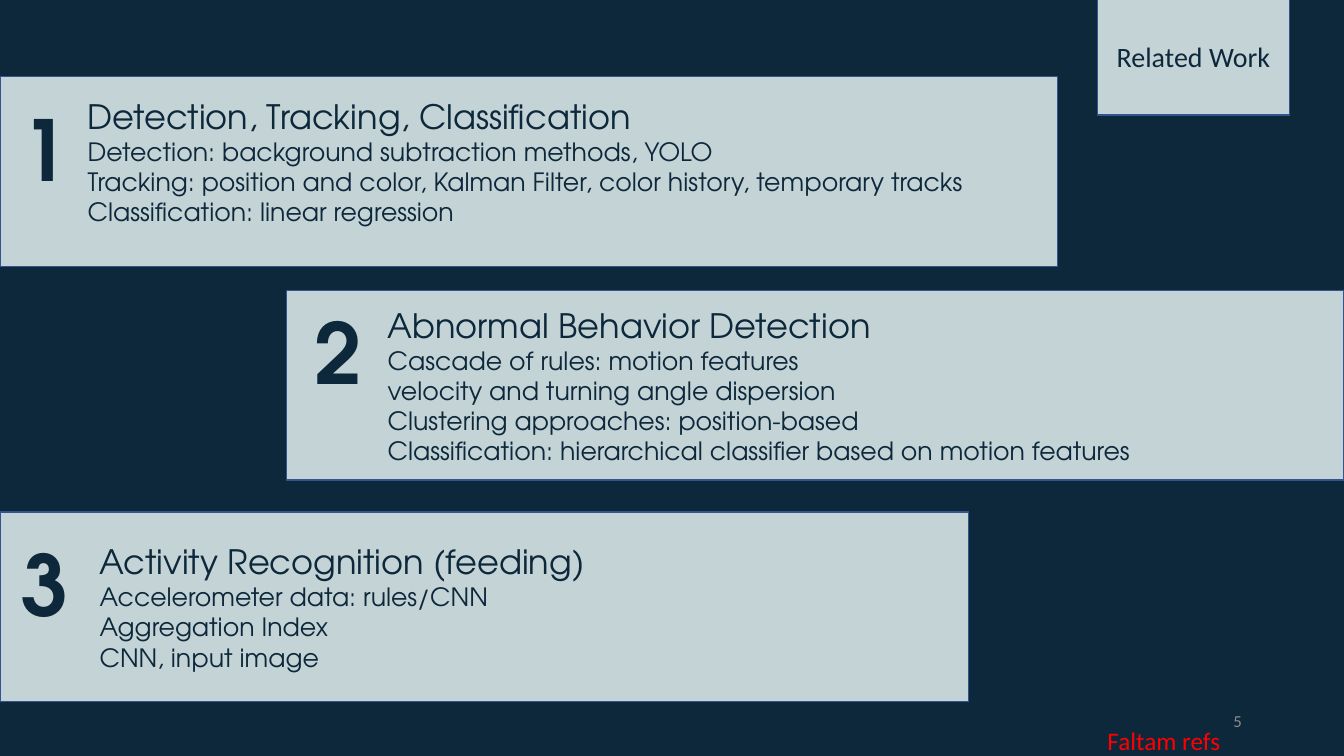
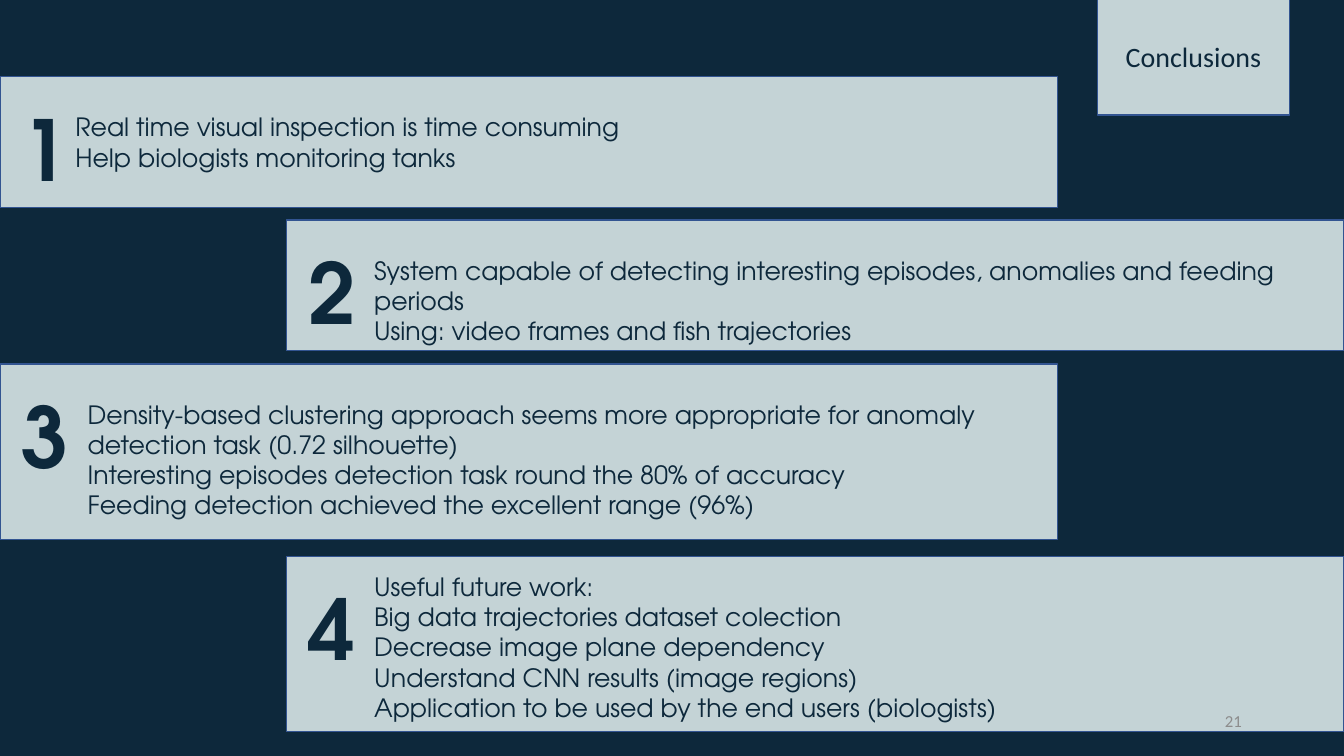
from pptx import Presentation
from pptx.dml.color import RGBColor
from pptx.enum.shapes import MSO_SHAPE as Shape
from pptx.enum.text import MSO_ANCHOR as Anchor, MSO_AUTO_SIZE as AutoSize, PP_ALIGN as Align
from pptx.util import Cm, Pt

NAVY, MIST, EDGE, GREY, RED = "0D283B", "C4D3D6", "325491", "8C8C8C", "FF0000"
DISPLAY, PLAIN = "TeX Gyre Adventor", "Calibri"

# Lengths in centimetres
SLIDE_WIDTH, SLIDE_HEIGHT = 33.87, 19.05
BAND_WIDTH, TEXT_WIDTH = 26.65, 24.3
NUMBER_OFFSET = (0.3, 1.15)
TITLE_AREA = (27.66, -0.05, 4.83, 2.95)
PAGE_NUMBER_AREA = (23.93, 17.65, 7.62, 1.02)
NOTE_AREA = (27.66, 18.16, 3.45, 1.02)

TITLE = {"size": Pt(20), "name": PLAIN, "color": NAVY}
NUMBER = {"size": Pt(60), "name": DISPLAY, "color": NAVY, "bold": True}
HEADING = {"size": Pt(24), "name": DISPLAY, "color": NAVY}
BODY = {"size": Pt(18), "name": DISPLAY, "color": NAVY}
PAGE_NUMBER = {"size": Pt(12), "name": PLAIN, "color": GREY}
NOTE = {"size": Pt(18), "name": PLAIN, "color": RED}

# Bands alternate left and right; offsets are measured from the band's corner
SLIDES = [
    {"title": "Related Work", "number": "5", "note": "Faltam refs", "bands": [
        {"top": 1.93, "height": 4.78, "text_offset": (1.96, 0.36),
         "heading": "Detection, Tracking, Classification",
         "lines": ["Detection: background subtraction methods, YOLO",
                   "Tracking: position and color, Kalman Filter, color history, temporary tracks",
                   "Classification: linear regression"]},
        {"top": 7.32, "height": 4.78, "text_offset": (2.3, 0.23), "number_offset": (0.46, 0.89),
         "heading": "Abnormal Behavior Detection",
         "lines": ["Cascade of rules: motion features",
                   "velocity and turning angle dispersion",
                   "Clustering approaches: position-based",
                   "Classification: hierarchical classifier based on motion features"]},
        {"top": 12.9, "height": 4.78, "width": 24.41, "text_offset": (2.26, 0.61),
         "heading": "Activity Recognition (feeding)",
         "lines": ["Accelerometer data: rules/CNN",
                   "Aggregation Index",
                   "CNN, input image"]},
    ]},
    {"title": "Conclusions", "number": "21", "bands": [
        {"top": 1.93, "height": 3.3, "text_offset": (1.65, 0.76),
         "lines": ["Real time visual inspection is time consuming",
                   "Help biologists monitoring tanks"]},
        {"top": 5.54, "height": 3.3, "text_offset": (1.96, 0.76),
         "lines": ["System capable of detecting interesting episodes, anomalies and feeding periods",
                   "Using: video frames and fish trajectories"]},
        {"top": 9.17, "height": 4.42, "text_offset": (1.96, 0.76),
         "lines": ["Density-based clustering approach seems more appropriate for anomaly "
                   "detection task (0.72 silhouette)",
                   "Interesting episodes detection task round the 80% of accuracy",
                   "Feeding detection achieved the excellent range (96%)"]},
        {"top": 14.02, "height": 4.42, "text_offset": (1.96, 0.25),
         "lines": ["Useful future work:",
                   "Big data trajectories dataset colection",
                   "Decrease image plane dependency",
                   "Understand CNN results (image regions)",
                   "Application to be used by the end users (biologists)"]},
    ]},
]


def rgb(hex_code):
    return RGBColor.from_string(hex_code)


def to_cm(area):
    return [Cm(round(value, 2)) for value in area]


def paint(shape):
    """Give a panel the shared fill and outline."""
    shape.fill.solid()
    shape.fill.fore_color.rgb = rgb(MIST)
    shape.line.color.rgb = rgb(EDGE)
    shape.line.width = Pt(1)


def write(frame, rows, align=Align.LEFT, anchor=Anchor.TOP, resize=AutoSize.NONE):
    """Fill a frame with (text, format) rows, one paragraph each."""
    frame.word_wrap = True
    frame.auto_size = resize
    frame.vertical_anchor = anchor
    for index, (text, style) in enumerate(rows):
        para = frame.add_paragraph() if index else frame.paragraphs[0]
        para.alignment = align
        span = para.add_run()
        span.text = text
        for name, value in style.items():
            if name == "color":
                span.font.color.rgb = rgb(value)
            else:
                setattr(span.font, name, value)


def add_text(page, area, rows, **layout):
    frame = page.shapes.add_textbox(*to_cm(area)).text_frame
    write(frame, rows, **layout)
    return frame


def add_band(page, index, band):
    width = band.get("width", BAND_WIDTH)
    left = SLIDE_WIDTH - width if index % 2 else 0
    top = band["top"]
    panel = page.shapes.add_shape(Shape.RECTANGLE, *to_cm((left, top, width, band["height"])))
    panel.shadow.inherit = False
    paint(panel)

    # Large number
    dx, dy = band.get("number_offset", NUMBER_OFFSET)
    frame = add_text(page, (left + dx, top + dy, 1.35, 1.6), [(str(index + 1), NUMBER)],
                     align=Align.RIGHT, anchor=Anchor.MIDDLE)
    frame.paragraphs[0].line_spacing = 0.9
    for side in ("left", "top", "right", "bottom"):
        setattr(frame, f"margin_{side}", Cm(0.25))

    # Heading, where there is one, and lines
    rows = [(line, BODY) for line in band["lines"]]
    height = 0.25 + 0.76 * len(rows)
    if "heading" in band:
        rows.insert(0, (band["heading"], HEADING))
        height += 1.02
    dx, dy = band["text_offset"]
    add_text(page, (left + dx, top + dy, TEXT_WIDTH, height), rows,
             resize=AutoSize.SHAPE_TO_FIT_TEXT)


def add_page(deck, content):
    page = deck.slides.add_slide(deck.slide_layouts[5])

    # Title tab
    title = page.shapes.title
    title.left, title.top, title.width, title.height = to_cm(TITLE_AREA)
    paint(title)
    write(title.text_frame, [(content["title"], TITLE)], align=Align.CENTER, anchor=Anchor.MIDDLE)

    for index, band in enumerate(content["bands"]):
        add_band(page, index, band)

    # Page number and note
    add_text(page, PAGE_NUMBER_AREA, [(content["number"], PAGE_NUMBER)],
             align=Align.RIGHT, anchor=Anchor.MIDDLE)
    if "note" in content:
        add_text(page, NOTE_AREA, [(content["note"], NOTE)])


def main():
    deck = Presentation()
    deck.slide_width, deck.slide_height = to_cm((SLIDE_WIDTH, SLIDE_HEIGHT))
    backdrop = deck.slide_master.background.fill
    backdrop.solid()
    backdrop.fore_color.rgb = rgb(NAVY)
    for content in SLIDES:
        add_page(deck, content)
    deck.save("out.pptx")


if __name__ == "__main__":
    main()
